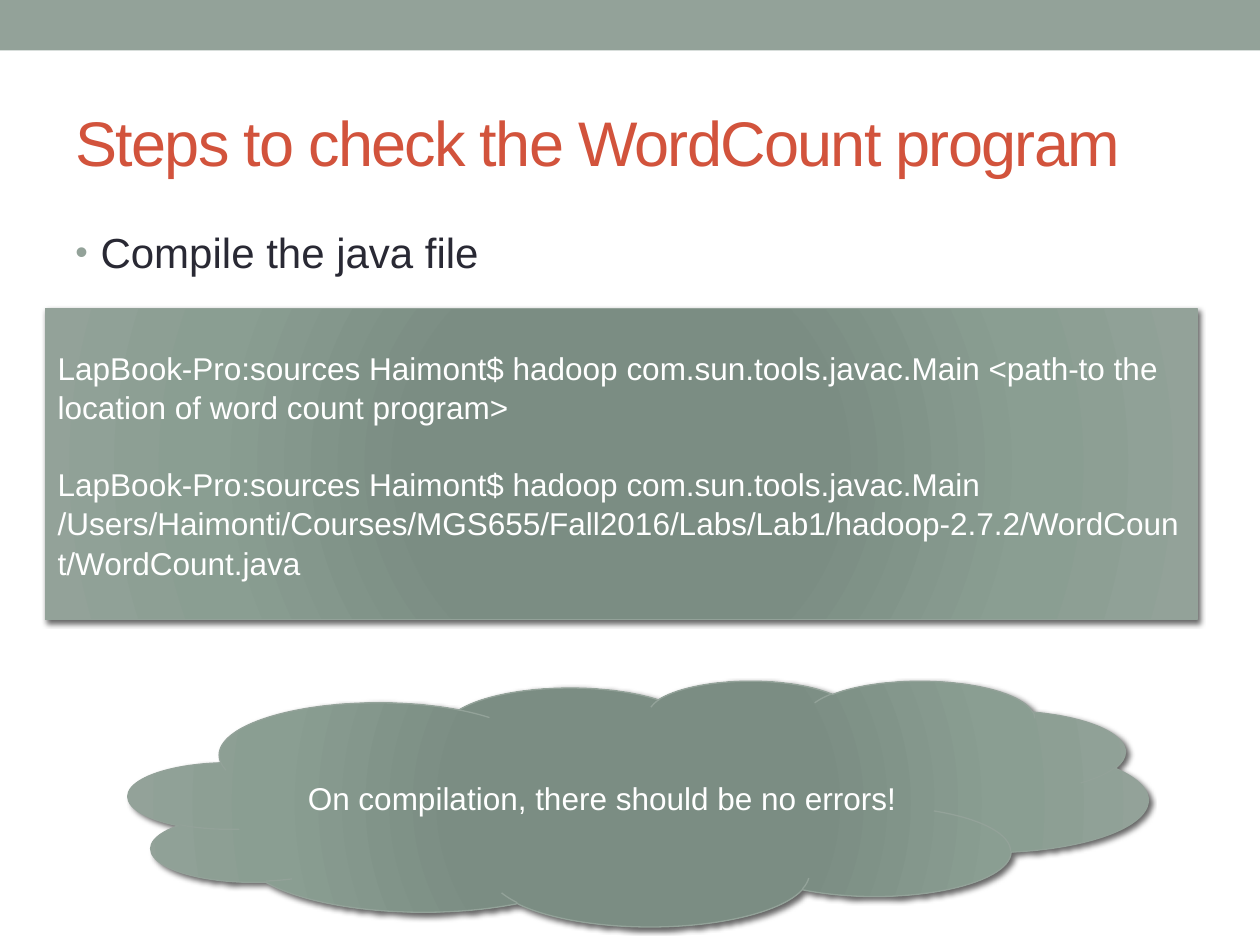
import pptx
import pptx.util
import pptx.dml.color
import pptx.enum.shapes
import pptx.enum.text
import pptx.oxml

INCH = pptx.util.Inches
PT = pptx.util.Pt
KIND = pptx.enum.shapes.MSO_SHAPE
ALIGN = pptx.enum.text.PP_ALIGN
MID = pptx.enum.text.MSO_ANCHOR.MIDDLE
NS = 'xmlns:a="http://schemas.openxmlformats.org/drawingml/2006/main"'
SAGE, RUST, INK, WHITE = "93A299", "D2533C", "292934", "FFFFFF"
STOPS = [(0, "7B8E82"), (34, "7B8D83"), (70, "8A9E92"), (100, SAGE)]


def tint(color, code):
    """Set a colour format from a hex string."""
    color.rgb = pptx.dml.color.RGBColor.from_string(code)


def write(frame, lines, size, code, align):
    """Fill a text frame with lines and format their runs."""
    frame.word_wrap = True
    frame.text = "\n".join(lines)
    for para in frame.paragraphs:
        para.alignment = align
        for run in para.runs:
            run.font.name = "Arial"
            run.font.size = PT(size)
            tint(run.font.color, code)


deck = pptx.Presentation()
deck.slide_width, deck.slide_height = INCH(10), INCH(7.5)
slide = deck.slides.add_slide(deck.slide_layouts[5])
shapes = slide.shapes

# Top band
band = shapes.add_shape(KIND.RECTANGLE, 0, 0, deck.slide_width, INCH(0.4))
band.shadow.inherit = False
band.fill.solid()
tint(band.fill.fore_color, SAGE)
band.line.fill.background()

# Title
title = shapes.title
title.left, title.top, title.width, title.height = map(INCH, (0.5, 0.58, 9, 1.08))
write(title.text_frame, ["Steps to check the WordCount program"], 36, RUST, ALIGN.LEFT)
title.text_frame.vertical_anchor = MID
for run in title.text_frame.paragraphs[0].runs:
    run.font._element.set("spc", "-100")

# Bullet
body = shapes.add_textbox(*map(INCH, (0.5, 1.75, 9, 0.6)))
write(body.text_frame, ["Compile the java file"], 24, INK, ALIGN.LEFT)
point = body.text_frame.paragraphs[0]
point.space_before = PT(2)
props = point._p.get_or_add_pPr()
props.set("marL", str(INCH(0.2)))
props.set("indent", str(INCH(-0.2)))
for mark in (
    f'<a:buClr {NS}><a:srgbClr val="{SAGE}"/></a:buClr>',
    f'<a:buSzPct {NS} val="85000"/>',
    f'<a:buFont {NS} typeface="Arial"/>',
    f'<a:buChar {NS} char="\u2022"/>',
):
    props.append(pptx.oxml.parse_xml(mark))

# Command box and cloud
prompt = "LapBook-Pro:sources Haimont$ hadoop com.sun.tools.javac.Main "
steps = [
    prompt + "<path-to the location of word count program>",
    prompt + "/Users/Haimonti/Courses/MGS655/Fall2016/Labs/Lab1/"
    "hadoop-2.7.2/WordCount/WordCount.java",
]
panels = [
    (KIND.RECTANGLE, (0.36, 2.45, 9.14, 2.47), steps, ALIGN.LEFT),
    (KIND.CLOUD, (1.02, 5.4, 8.09, 1.95),
     ["On compilation, there should be no errors!"], ALIGN.CENTER),
]
stops = "".join(
    f'<a:gs pos="{pos * 1000}"><a:srgbClr val="{code}"/></a:gs>' for pos, code in STOPS
)
blend = (
    f'<a:gradFill {NS} rotWithShape="1"><a:gsLst>{stops}</a:gsLst><a:path path="circle">'
    '<a:fillToRect l="100000" t="100000" r="100000" b="100000"/></a:path></a:gradFill>'
)
shade = (
    f'<a:outerShdw {NS} blurRad="{PT(3)}" dist="{PT(2)}" dir="2700000" algn="tl" '
    'rotWithShape="0"><a:srgbClr val="000000"><a:alpha val="60000"/></a:srgbClr>'
    "</a:outerShdw>"
)
for kind, place, lines, align in panels:
    panel = shapes.add_shape(kind, *map(INCH, place))
    tint(panel.line.color, SAGE)
    panel.line.width = PT(0.75)
    panel.shadow.inherit = False
    look = panel._element.spPr
    look.ln.addprevious(pptx.oxml.parse_xml(blend))
    look[-1].append(pptx.oxml.parse_xml(shade))
    write(panel.text_frame, lines, 18, WHITE, align)
    panel.text_frame.vertical_anchor = MID
    for para in panel.text_frame.paragraphs:
        para.line_spacing = 1.04
    for para in panel.text_frame.paragraphs[1:]:
        para.space_before = PT(21.6)

deck.save("out.pptx")
